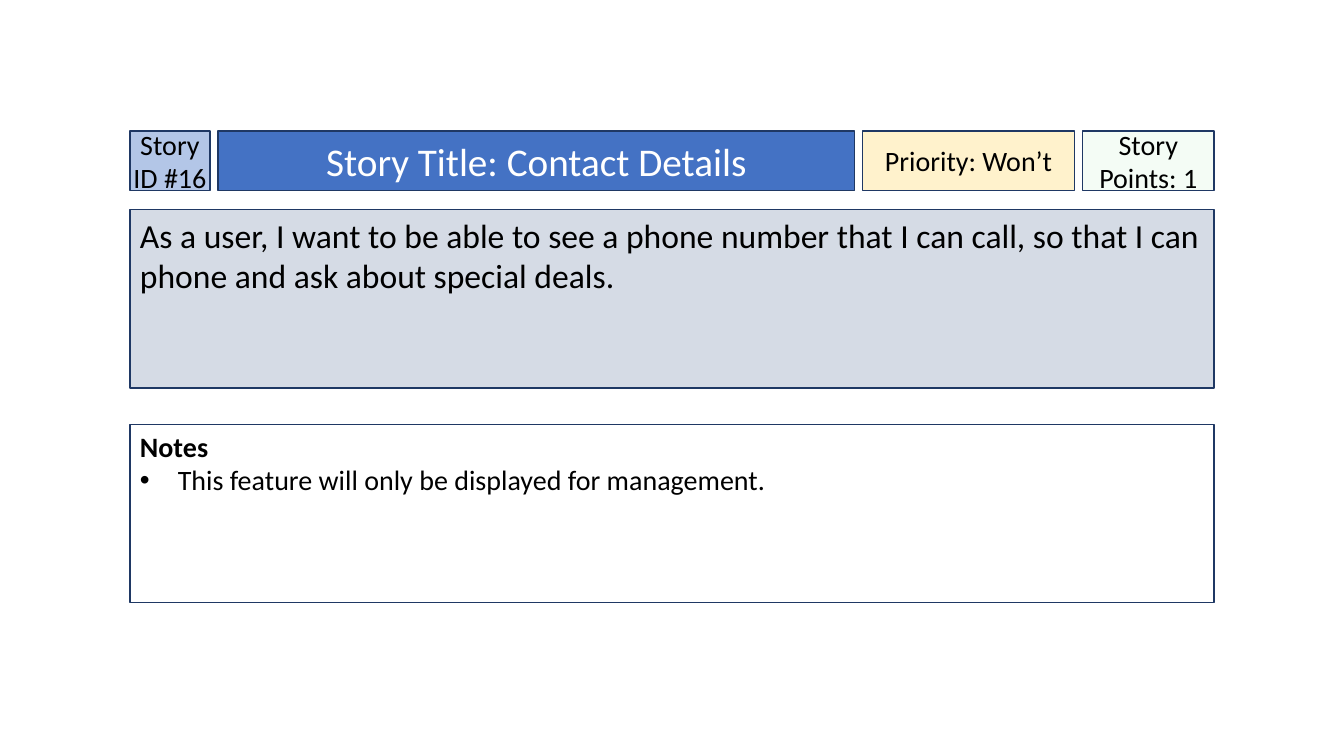
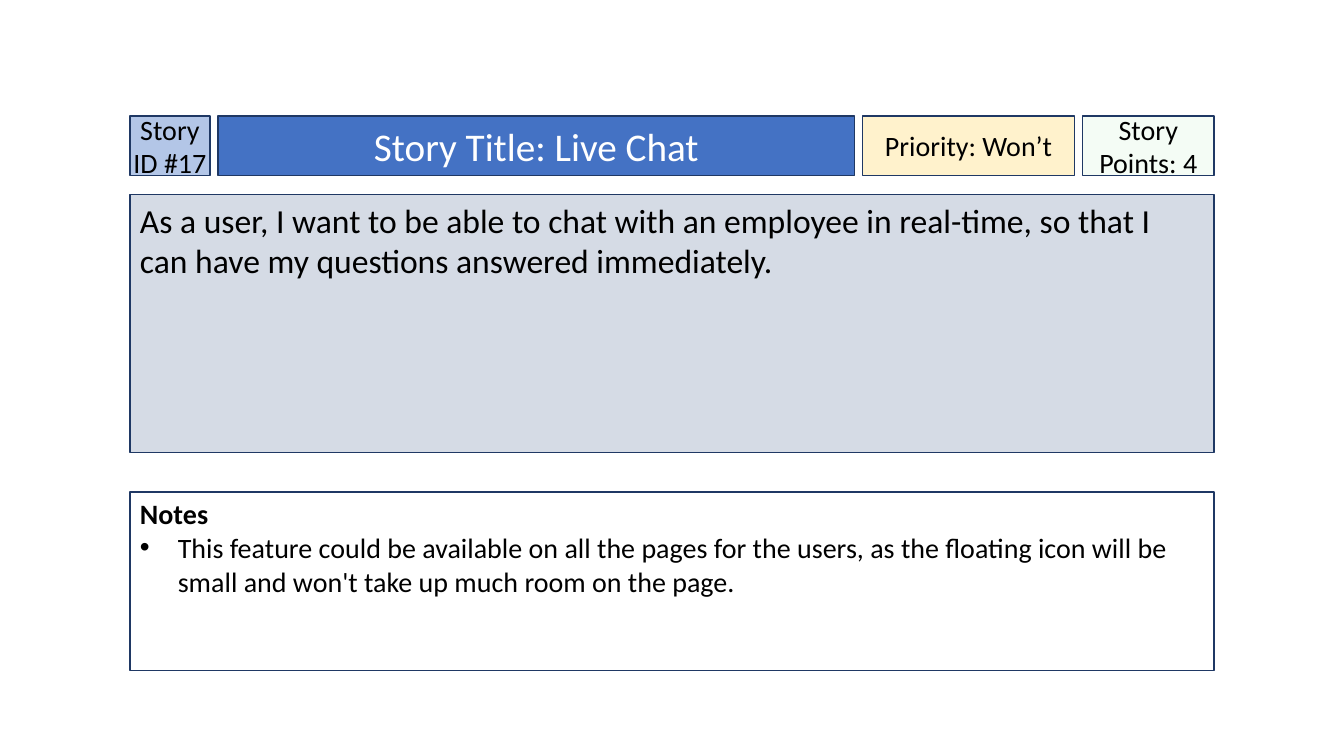
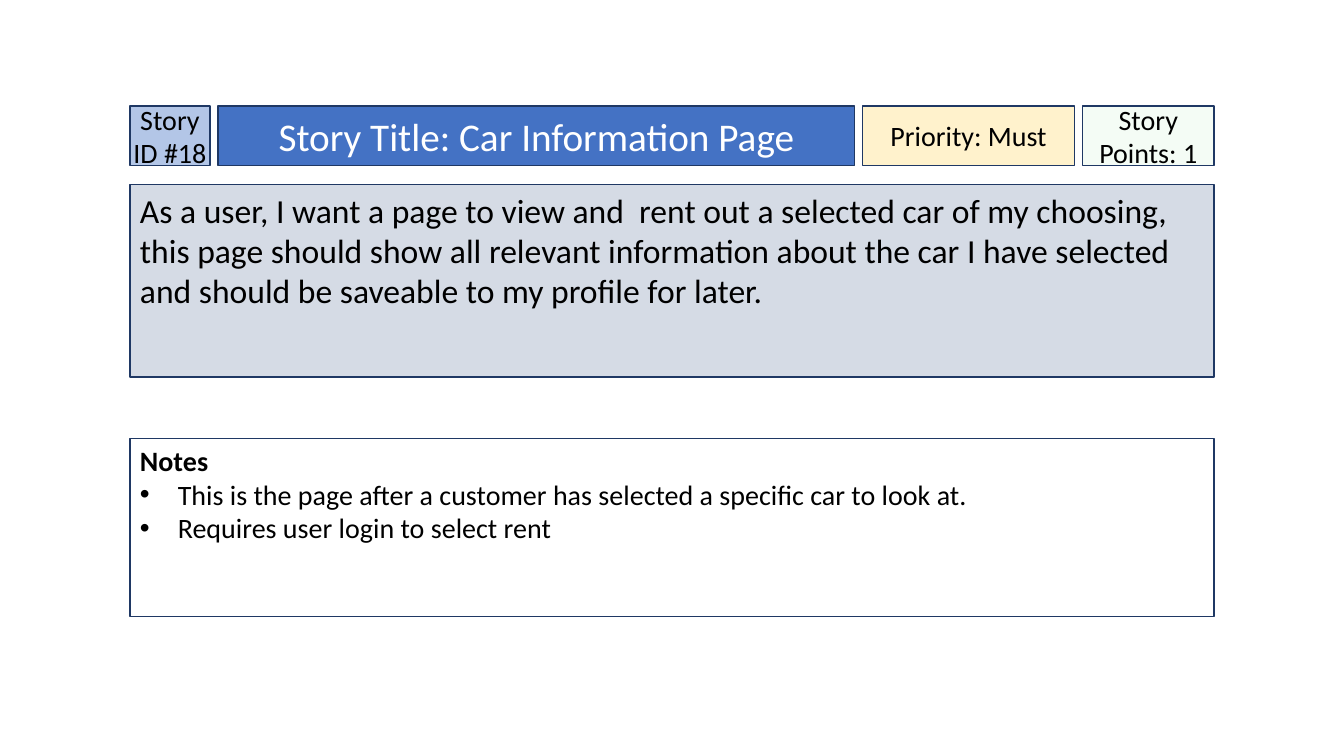
from dataclasses import dataclass

from lxml import etree
from pptx import Presentation
from pptx.dml.color import RGBColor
from pptx.enum.shapes import MSO_SHAPE
from pptx.enum.text import MSO_ANCHOR, PP_ALIGN
from pptx.oxml.ns import qn
from pptx.util import Pt

RECTANGLE = MSO_SHAPE.RECTANGLE
TOP, MIDDLE = MSO_ANCHOR.TOP, MSO_ANCHOR.MIDDLE
LEFT, CENTER = PP_ALIGN.LEFT, PP_ALIGN.CENTER

COLORS = {
    "id": "B3C6E7",
    "title": "4472C4",
    "priority": "FFF2CC",
    "points": "CCF0CD",
    "story": "D5DBE5",
    "remarks": "FFFFFF",
    "outline": "1F3864",
    "text": "000000",
    "title_text": "FFFFFF",
}
FONT = "Calibri"
CARD_LEFT, CARD_WIDTH = 92.9, 774.4
HEADER_HEIGHT, HEADER_GAP = 42.5, 5.7
HEADER_WIDTHS = {"id": 57, "title": 455, "priority": 151.2, "points": 94.1}
STORY_OFFSET = 56.2
REMARKS_HEIGHT = 127.4
SIDE_INSET = 7.2
BULLET_INDENT = 27


@dataclass
class Story:
    number: int
    title: str
    priority: str
    points: int
    text: str
    remarks: list
    top: float
    text_height: float
    remarks_top: float


STORIES = [
    Story(
        16, "Contact Details", "Won’t", 1,
        "As a user, I want to be able to see a phone number that I can call, "
        "so that I can phone and ask about special deals.",
        ["This feature will only be displayed for management."],
        93.6, 127.4, 303.1,
    ),
    Story(
        17, "Live Chat", "Won’t", 4,
        "As a user, I want to be able to chat with an employee in real-time, "
        "so that I can have my questions answered immediately.",
        ["This feature could be available on all the pages for the users, "
         "as the floating icon will be small and won't take up much room on the page."],
        82.8, 184.3, 351.4,
    ),
    Story(
        18, "Car Information Page", "Must", 1,
        "As a user, I want a page to view and  rent out a selected car of my choosing, "
        "this page should show all relevant information about the car I have selected "
        "and should be saveable to my profile for later.",
        ["This is the page after a customer has selected a specific car to look at.",
         "Requires user login to select rent"],
        75.6, 137.5, 313.2,
    ),
]


def color(name):
    return RGBColor.from_string(COLORS[name])


def add_panel(page, left, top, width, height, fill, anchor, side_inset=SIDE_INSET):
    box = page.shapes.add_shape(RECTANGLE, Pt(left), Pt(top), Pt(width), Pt(height))
    box.shadow.inherit = False
    box.fill.solid()
    box.fill.fore_color.rgb = color(fill)
    box.line.color.rgb = color("outline")
    box.line.width = Pt(1)
    frame = box.text_frame
    frame.word_wrap = True
    frame.vertical_anchor = anchor
    frame.margin_left = frame.margin_right = Pt(side_inset)
    frame.margin_top = frame.margin_bottom = Pt(3.6)
    return box


def write(para, text, size, align=LEFT, ink="text", bold=False):
    para.text = text
    para.alignment = align
    para.font.name = FONT
    para.font.size = Pt(size)
    para.font.bold = bold
    para.font.color.rgb = color(ink)


def set_opacity(box, percent):
    fill_color = box._element.spPr.find(qn("a:solidFill"))[0]
    etree.SubElement(fill_color, qn("a:alpha"), val=str(percent * 1000))


def set_bullet(para):
    properties = para._p.get_or_add_pPr()
    properties.set("marL", str(Pt(BULLET_INDENT)))
    properties.set("indent", str(-Pt(BULLET_INDENT)))
    bullet = etree.Element(qn("a:buChar"), char="•")
    typeface = etree.Element(qn("a:buFont"), typeface="Arial")
    properties.insert(0, bullet)
    properties.insert(0, typeface)


def add_header(page, story):
    labels = {
        "id": f"Story ID #{story.number}",
        "title": f"Story Title: {story.title}",
        "priority": f"Priority: {story.priority}",
        "points": f"Story Points: {story.points}",
    }
    left = CARD_LEFT
    for name, width in HEADER_WIDTHS.items():
        is_title = name == "title"
        box = add_panel(page, left, story.top, width, HEADER_HEIGHT, name, MIDDLE,
                        SIDE_INSET if is_title else 0)
        write(box.text_frame.paragraphs[0], labels[name], 28 if is_title else 20,
              CENTER, "title_text" if is_title else "text")
        if name == "points":
            set_opacity(box, 20)
        left += width + HEADER_GAP


def add_story_text(page, story):
    box = add_panel(page, CARD_LEFT, story.top + STORY_OFFSET, CARD_WIDTH,
                    story.text_height, "story", TOP)
    write(box.text_frame.paragraphs[0], story.text, 24)


def add_remarks(page, story):
    box = add_panel(page, CARD_LEFT, story.remarks_top, CARD_WIDTH, REMARKS_HEIGHT,
                    "remarks", TOP)
    frame = box.text_frame
    write(frame.paragraphs[0], "Notes", 20, bold=True)
    for remark in story.remarks:
        para = frame.add_paragraph()
        write(para, remark, 20)
        set_bullet(para)


def main():
    deck = Presentation()
    deck.slide_width, deck.slide_height = Pt(960), Pt(540)
    for story in STORIES:
        page = deck.slides.add_slide(deck.slide_layouts[6])
        add_header(page, story)
        add_story_text(page, story)
        add_remarks(page, story)
    deck.save("out.pptx")


main()
